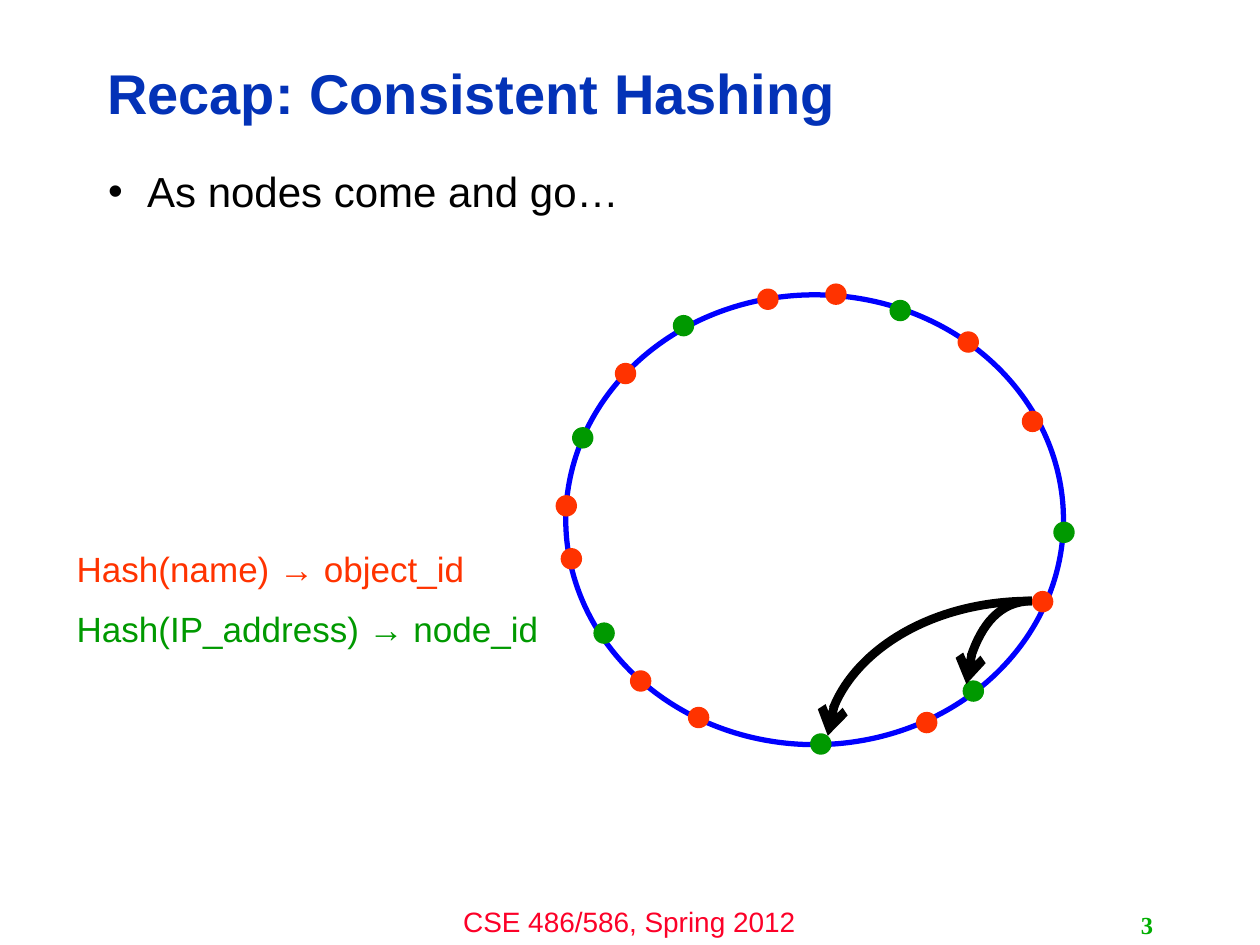
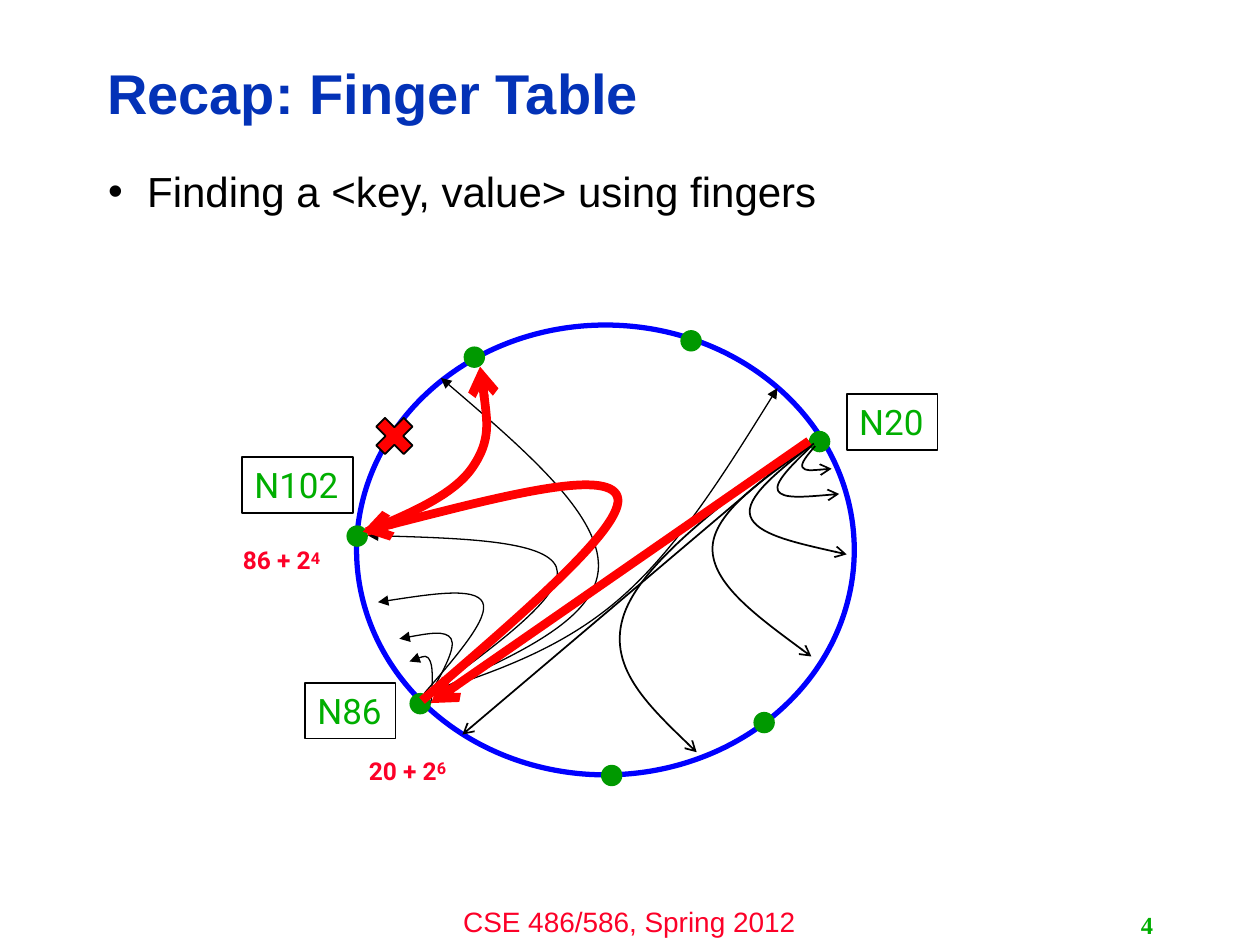
from lxml.etree import SubElement
from pptx import Presentation
from pptx.dml.color import RGBColor
from pptx.enum.shapes import MSO_CONNECTOR as CONN, MSO_SHAPE as SHAPE
from pptx.enum.text import MSO_ANCHOR as ANCHOR, MSO_AUTO_SIZE as AUTO, PP_ALIGN as ALIGN
from pptx.oxml.ns import qn
from pptx.util import Inches, Pt

BLACK = RGBColor(0, 0, 0)
TITLE_BLUE = RGBColor(0x03, 0x32, 0xB7)
RING_BLUE = RGBColor(0, 0, 0xFF)
ORANGE = RGBColor(0xFF, 0x33, 0)
GREEN = RGBColor(0, 0x99, 0)
LABEL_GREEN = RGBColor(0, 0xAE, 0)
CRIMSON = RGBColor(0xFC, 0x01, 0x28)
RED = RGBColor(0xFF, 0, 0)

TITLE = dict(name="Arial", size=Pt(32), bold=True, color=TITLE_BLUE)
BODY = dict(name="Arial", size=Pt(24), color=BLACK)
FOOTER = dict(name="Arial", size=Pt(16), color=CRIMSON)
NUMBER = dict(name="Times New Roman", size=Pt(14), bold=True, color=LABEL_GREEN)
HASH = dict(name="Arial", size=Pt(20))
NODE = dict(name="Roboto", size=Pt(20), color=LABEL_GREEN)
KEY = dict(name="Roboto", size=Pt(14), bold=True, color=CRIMSON)

RING_W, RING_H, DOT = 3.95, 3.57, 0.17


def inches(*values):
    return [Inches(v) for v in values]


def style_font(font, fmt):
    for key, value in fmt.items():
        if key == "color":
            font.color.rgb = value
        else:
            setattr(font, key, value)


def add_run(p, text, fmt):
    r = p.add_run()
    r.text = text
    style_font(r.font, fmt)
    return r


def add_text(slide, box, text, fmt, wrap=True, **para):
    tf = slide.shapes.add_textbox(*inches(*box)).text_frame
    tf.word_wrap = wrap
    p = tf.paragraphs[0]
    for key, value in para.items():
        setattr(p, key, value)
    add_run(p, text, fmt)
    return tf


def add_shape(slide, kind, box, fill=None, line=None, width=1):
    sp = slide.shapes.add_shape(kind, *inches(*box))
    paint(sp, fill, line, width)
    return sp


def paint(sp, fill, line, width):
    sp.shadow.inherit = False
    if fill is None:
        sp.fill.background()
    else:
        sp.fill.solid()
        sp.fill.fore_color.rgb = fill
    if line is None:
        sp.line.fill.background()
    else:
        sp.line.color.rgb = line
        sp.line.width = Pt(width)


def add_arrowhead(sp, kind):
    SubElement(sp._element.spPr.find(qn("a:ln")), qn("a:tailEnd"), type=kind)


def add_arrow(slide, kind, start, end, color, width):
    c = slide.shapes.add_connector(kind, *inches(*start, *end))
    c.line.color.rgb = color
    c.line.width = Pt(width)
    add_arrowhead(c, "arrow")
    spPr = c._element.spPr
    SubElement(spPr, qn("a:effectLst"))
    if kind == CONN.CURVE:
        spPr.find(qn("a:prstGeom")).set("prst", "curvedConnector2")


def midpoint(a, b):
    return (a[0] + b[0]) / 2, (a[1] + b[1]) / 2


def add_curve(slide, origin, points, head, color=BLACK, width=1):
    start, bend1, bend2, end = [(origin[0] + x, origin[1] + y) for x, y in points]
    path = [start, midpoint(start, bend1), bend1, midpoint(bend1, bend2),
            bend2, midpoint(bend2, end), end]
    path = [tuple(inches(*pt)) for pt in path]
    builder = slide.shapes.build_freeform(*path[0])
    builder.add_line_segments(path[1:], close=False)
    sp = builder.convert_to_shape()
    paint(sp, None, color, width)
    add_arrowhead(sp, head)
    segments = list(sp._element.iter(qn("a:lnTo")))
    parent = segments[0].getparent()
    for i in range(0, len(segments), 3):
        bezier = SubElement(parent, qn("a:cubicBezTo"))
        for segment in segments[i:i + 3]:
            bezier.append(segment[0])
            parent.remove(segment)


def add_ring(slide, left, top, dots):
    add_shape(slide, SHAPE.OVAL, (left, top, RING_W, RING_H), line=RING_BLUE, width=3)
    for color, places in dots.items():
        for x, y in places:
            add_shape(slide, SHAPE.OVAL, (left + x, top + y, DOT, DOT), fill=color)


def add_footer(slide, layout):
    tf = add_text(slide, (3.33, 7.13, 3.33, 0.37), "CSE 486/586, Spring 2012",
                  FOOTER, alignment=ALIGN.CENTER)
    box = tf._txBody.getparent()
    layout.shapes.element.append(box)


def add_slide(prs, layout, title, bullet, number):
    slide = prs.slides.add_slide(layout)
    sp = slide.shapes.title
    sp.left, sp.top, sp.width, sp.height = inches(0.75, 0.36, 7.98, 0.81)
    tf = sp.text_frame
    tf.auto_size = AUTO.NONE
    tf.vertical_anchor = ANCHOR.MIDDLE
    p = tf.paragraphs[0]
    p.alignment, p.line_spacing = ALIGN.LEFT, 0.9
    add_run(p, title, TITLE)

    tf = add_text(slide, (0.76, 1.31, 8.4, 5.39), bullet, BODY,
                  line_spacing=0.9, space_before=Pt(7))
    pPr = tf.paragraphs[0]._p.get_or_add_pPr()
    pPr.set("marL", str(Inches(0.31)))
    pPr.set("indent", str(-Inches(0.31)))
    SubElement(pPr, qn("a:buFont"), typeface="Arial")
    SubElement(pPr, qn("a:buChar"), char="•")

    tf = add_text(slide, (7.17, 7.18, 2.08, 0.32), str(number), NUMBER,
                  alignment=ALIGN.RIGHT)
    tf.vertical_anchor = ANCHOR.MIDDLE
    return slide


def add_hash_legend(slide, left, top):
    tf = add_text(slide, (left, top, 3.89, 0.94), "Hash(name) → object_id",
                  dict(HASH, color=ORANGE), wrap=False, space_before=Pt(10))
    p = tf.add_paragraph()
    p.space_before = Pt(10)
    add_run(p, "Hash(IP_address) → node_id", dict(HASH, color=GREEN))


def add_hash_ring(slide, left, top):
    objects = [(3.11, 0.29), (2.78, 3.31), (0.97, 3.27), (3.62, 0.92),
               (3.7, 2.35), (2.06, -0.09), (1.52, -0.05), (0.39, 0.54),
               (-0.08, 1.59), (-0.04, 2.01), (0.51, 2.98)]
    nodes = [(3.87, 1.8), (0.05, 1.05), (3.15, 3.06), (0.85, 0.16),
             (0.22, 2.6), (1.94, 3.48), (2.57, 0.04)]
    add_ring(slide, left, top, {ORANGE: objects, GREEN: nodes})
    for x, y in [(3.18, 3.09), (2.08, 3.5)]:
        add_arrow(slide, CONN.CURVE, (left + 3.7, top + 2.43),
                  (left + x, top + y), BLACK, 5)


def add_node_label(slide, box, text, width):
    sp = add_shape(slide, SHAPE.RECTANGLE, box, line=BLACK, width=width)
    tf = sp.text_frame
    tf.word_wrap = False
    tf.vertical_anchor = ANCHOR.TOP
    p = tf.paragraphs[0]
    p.alignment = ALIGN.LEFT
    add_run(p, text, NODE)


def add_key_label(slide, left, top, base, power):
    tf = add_text(slide, (left, top, 0.84, 0.34), base, KEY, wrap=False)
    r = add_run(tf.paragraphs[0], power, dict(KEY, size=Pt(16)))
    r._r.get_or_add_rPr().set("baseline", "20000")


def add_finger_ring(slide, left, top):
    origin = left, top
    nodes = [(3.59, 0.84), (-0.08, 1.59), (3.15, 3.07), (0.85, 0.17),
             (0.42, 2.92), (1.94, 3.49), (2.57, 0.04)]
    n86_fingers = [
        [(0.59, 3), (0.61, 2.73), (0.56, 2.61), (0.42, 2.67)],
        [(0.59, 2.92), (0.79, 2.56), (0.71, 2.42), (0.34, 2.49)],
        [(0.54, 2.92), (1.06, 2.32), (0.94, 2.08), (0.17, 2.2)],
        [(0.59, 2.92), (1.67, 2.13), (1.5, 1.71), (0.09, 1.67)],
        [(0.59, 2.92), (1.91, 2.34), (1.93, 1.5), (0.67, 0.42)],
        [(0.59, 2.92), (1.63, 2.57), (2.55, 1.77), (3.34, 0.5)],
    ]
    n20_fingers = [
        [(3.64, 0.96), (3.52, 1.1), (3.56, 1.16), (3.77, 1.14)],
        [(3.61, 0.96), (3.31, 1.25), (3.38, 1.38), (3.83, 1.34)],
        [(3.6, 0.96), (3.08, 1.37), (3.17, 1.66), (3.89, 1.82)],
        [(3.63, 0.94), (2.83, 1.49), (2.82, 2.05), (3.61, 2.63)],
        [(3.58, 0.91), (2.27, 1.88), (1.98, 2.7), (2.7, 3.39)],
    ]
    lookup_hops = [
        [(0.52, 2.98), (2.15, 1.58), (1.99, 1.14), (0.05, 1.64)],
        [(0.08, 1.64), (0.77, 1.35), (1.07, 0.91), (0.98, 0.33)],
    ]
    add_ring(slide, left, top, {GREEN: nodes})
    for points in n86_fingers:
        add_curve(slide, origin, points, "triangle", width=0.75)
    for x, y, w, text, width in [(-0.41, 2.84, 0.72, "N86", 0.75),
                                 (-0.91, 1.05, 0.88, "N102", 1),
                                 (3.89, 0.55, 0.72, "N20", 1)]:
        add_node_label(slide, (left + x, top + y, w, 0.44), text, width)
    add_key_label(slide, left - 1, top + 1.67, "86 + 2", "4")
    add_key_label(slide, left, top + 3.34, "20 + 2", "6")
    add_shape(slide, SHAPE.MATH_MULTIPLY, (left + 0.09, top + 0.67, 0.42, 0.42),
              fill=RED, line=BLACK)

    n20 = left + 3.59, top + 0.92
    add_arrow(slide, CONN.STRAIGHT, n20, (left + 0.84, top + 3.25), BLACK, 1)
    for points in n20_fingers:
        add_curve(slide, origin, points, "arrow")
    add_arrow(slide, CONN.STRAIGHT, n20, (left + 0.59, top + 3), RED, 5)
    for points in lookup_hops:
        add_curve(slide, origin, points, "arrow", RED, 5)


prs = Presentation()
prs.slide_width, prs.slide_height = inches(10, 7.5)
layout = prs.slide_layouts[5]

s = add_slide(prs, layout, "Recap: Consistent Hashing", "As nodes come and go…", 3)
add_footer(s, layout)
add_hash_ring(s, 4.49, 2.34)
add_hash_legend(s, 0.51, 4.3)

s = add_slide(prs, layout, "Recap: Finger Table", "Finding a <key, value> using fingers", 4)
add_finger_ring(s, 2.83, 2.58)

prs.save("out.pptx")
